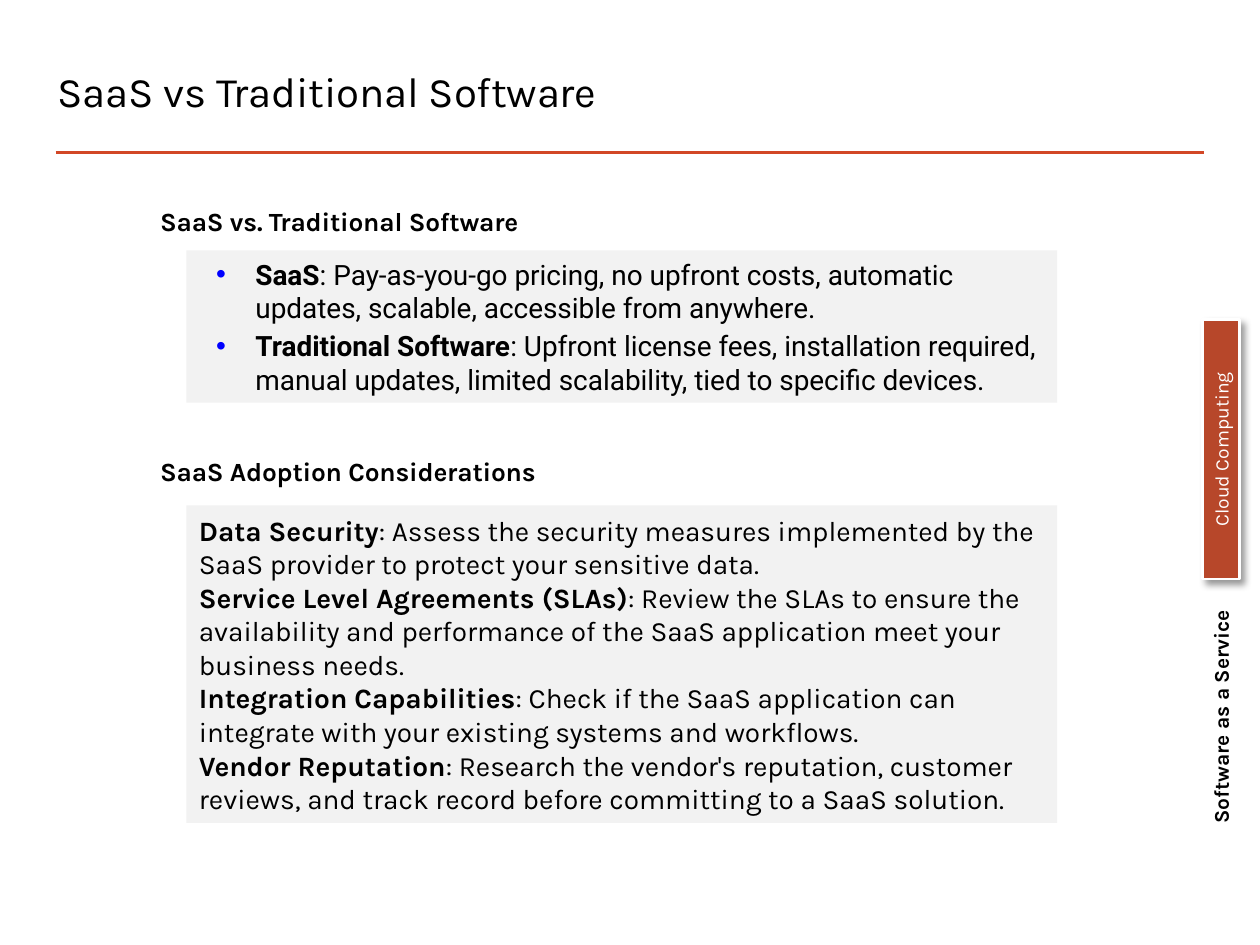
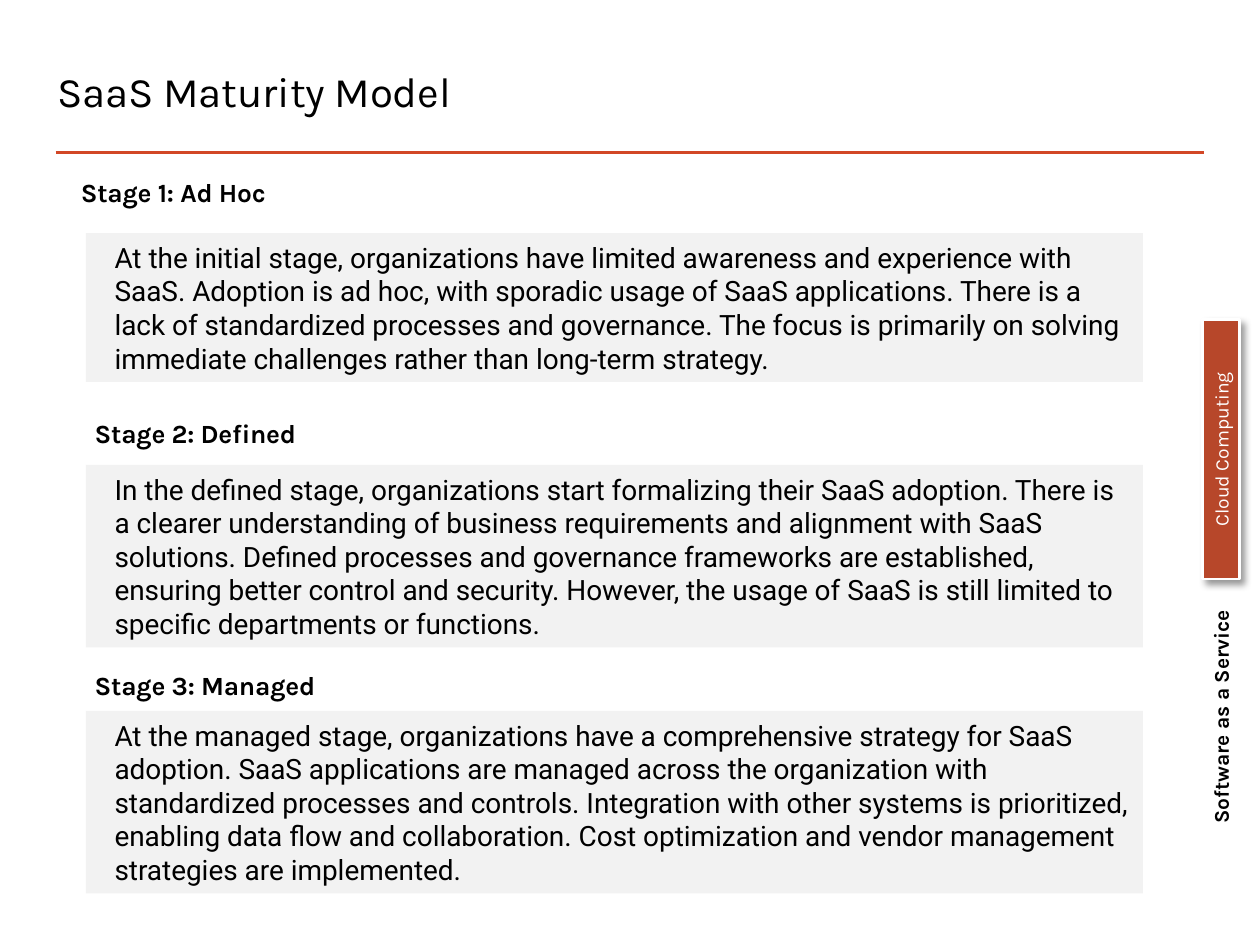
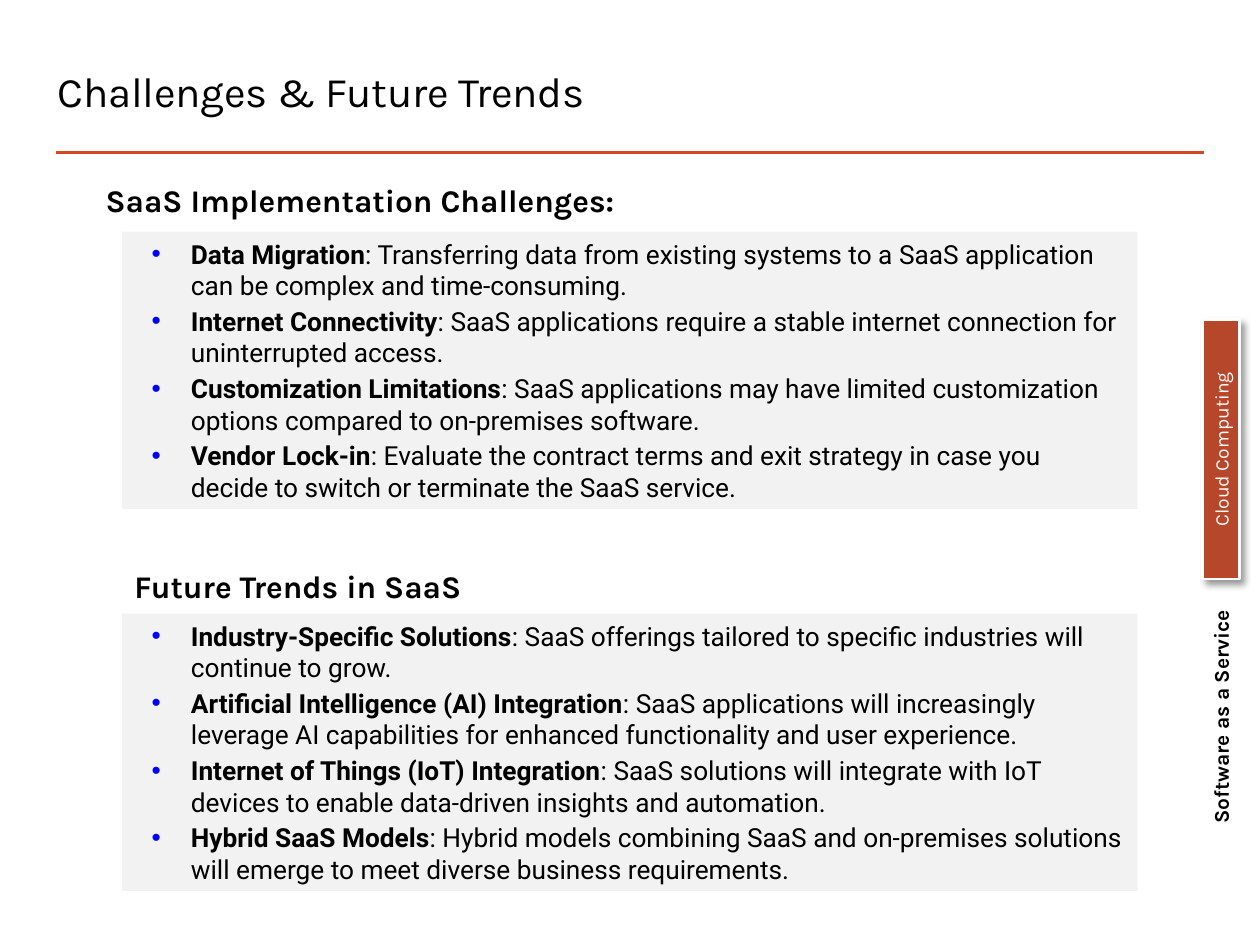
from lxml import etree
from pptx import Presentation
from pptx.dml.color import RGBColor
from pptx.enum import shapes, text
from pptx.oxml import ns
from pptx.util import Cm, Pt

BLACK = RGBColor(0x00, 0x00, 0x00)
WHITE = RGBColor(0xFF, 0xFF, 0xFF)
PANEL = RGBColor(0xF2, 0xF2, 0xF2)
RULE = RGBColor(0xD2, 0x47, 0x26)
TAB = RGBColor(0xB7, 0x47, 0x2A)
BULLET = RGBColor(0x00, 0x00, 0xFF)
KARLA, ROBOTO = "Karla", "Roboto"


def child(parent, tag, **attrs):
    """Append a DrawingML element and return it."""
    return etree.SubElement(parent, ns.qn(tag), attrs)


class Deck:
    """Course deck style together with the slide being built."""

    def __init__(self):
        """Start an empty 4:3 presentation."""
        self.prs = Presentation()
        self.prs.slide_width, self.prs.slide_height = Cm(25.4), Cm(19.05)
        self.s = None

    def slide(self, title, title_width=14.58):
        """Add a slide with its title, rule and side band."""
        self.s = self.prs.slides.add_slide(self.prs.slide_layouts[6])
        self.rule()
        self.text(title, (0.91, 1.19, title_width, 1.78), 24, bold=False, spacing=-10)
        self.side_band()

    def font(self, r, size, name=KARLA, bold=False, color=BLACK):
        """Format one run."""
        r.font.size, r.font.name, r.font.bold = Pt(size), name, bold
        r.font.color.rgb = color

    def rule(self):
        """Draw the line below the title."""
        line = self.s.shapes.add_connector(
            shapes.MSO_CONNECTOR.STRAIGHT, Cm(1.12), Cm(3.07), Cm(24.28), Cm(3.07))
        line.line.color.rgb, line.line.width = RULE, Pt(2)
        child(line._element.spPr, "a:effectLst")

    def text(self, words, at, size, bold=True, spacing=0, parent=None):
        """Add a one-paragraph text box."""
        sp = (parent or self.s).shapes.add_textbox(*map(Cm, at))
        tf = sp.text_frame
        tf.word_wrap = True
        tf.text = words
        r = tf.paragraphs[0].runs[0]
        self.font(r, size, bold=bold)
        if spacing:
            r.font._element.set("spc", str(spacing))
        return sp

    def rect(self, at, fill, parent=None):
        """Add a plain filled rectangle that fits its text."""
        sp = (parent or self.s).shapes.add_shape(shapes.MSO_SHAPE.RECTANGLE, *map(Cm, at))
        sp.shadow.inherit = False
        sp.fill.solid()
        sp.fill.fore_color.rgb = fill
        sp.line.fill.background()
        sp.text_frame.word_wrap = True
        sp.text_frame.auto_size = text.MSO_AUTO_SIZE.SHAPE_TO_FIT_TEXT
        return sp

    def side_band(self):
        """Add the rotated chapter label and course tab."""
        band = self.s.shapes.add_group_shape()
        label = self.text("Software as a Service", (20.4, 12.27, 8.41, 0.76), 12, parent=band)
        tab = self.rect((22, 8.69, 5.23, 0.74), TAB, band)
        label.rotation = tab.rotation = 270
        tab.line.color.rgb, tab.line.width = WHITE, Pt(1.5)
        tab.text_frame.text = "Cloud Computing"
        p = tab.text_frame.paragraphs[0]
        p.alignment = text.PP_ALIGN.CENTER
        self.font(p.runs[0], 11, color=WHITE)
        shadow = child(tab._element.spPr.find(ns.qn("a:effectLst")), "a:outerShdw",
                       blurRad=str(Pt(4)), dist=str(Pt(3)), dir="2700000",
                       algn="tl", rotWithShape="0")
        child(child(shadow, "a:srgbClr", val=str(BLACK)), "a:alpha", val="40000")

    def heading(self, words, left, top):
        """Add a small section heading."""
        sp = self.text(words, (left, top, 10.31, 1.02), 15, spacing=-10)
        tf = sp.text_frame
        tf.margin_left = tf.margin_right = Cm(0.18)
        tf.margin_top = tf.margin_bottom = Cm(0.1)
        p = tf.paragraphs[0]
        p.line_spacing, p.space_before, p.space_after = Pt(18), Pt(10), Pt(15)

    def large_heading(self, words, left, top):
        """Add a large section heading."""
        self.text(words, (left, top, 12.7, 1.02), 18)

    def panel(self, items, at, size=16, name=ROBOTO, bullets=False, margin=0.0, before=2.4):
        """Add a grey panel, with the words before a colon in bold."""
        tf = self.rect(at, PANEL).text_frame
        for i, item in enumerate(items):
            p = tf.paragraphs[0] if i == 0 else tf.add_paragraph()
            p.alignment, p.space_before = text.PP_ALIGN.LEFT, Pt(before)
            lead, colon, rest = item.partition(":")
            parts = [(lead, True), (colon + rest, False)] if colon else [(item, False)]
            for words, bold in parts:
                r = p.add_run()
                r.text = words
                self.font(r, size, name, bold)
            pPr = p._p.get_or_add_pPr()
            pPr.set("marL", str(Cm(1.14 if bullets else margin)))
            pPr.set("indent", str(Cm(-0.79 if bullets else 0)))
            if bullets:
                child(child(pPr, "a:buClr"), "a:srgbClr", val=str(BULLET))
                child(pPr, "a:buFont", typeface="Arial")
                child(pPr, "a:buChar", char="•")


COMPARISON = [
    "SaaS: Pay-as-you-go pricing, no upfront costs, automatic updates, scalable, "
    "accessible from anywhere.",
    "Traditional Software: Upfront license fees, installation required, manual updates, "
    "limited scalability, tied to specific devices.",
]
CONSIDERATIONS = [
    "Data Security: Assess the security measures implemented by the SaaS provider to "
    "protect your sensitive data.",
    "Service Level Agreements (SLAs): Review the SLAs to ensure the availability and "
    "performance of the SaaS application meet your business needs.",
    "Integration Capabilities: Check if the SaaS application can integrate with your "
    "existing systems and workflows.",
    "Vendor Reputation: Research the vendor's reputation, customer reviews, and track "
    "record before committing to a SaaS solution.",
]
STAGES = [
    ("Stage 1: Ad Hoc", 1.45, 3.45, 4.7, 3,
     "At the initial stage, organizations have limited awareness and experience with SaaS. "
     "Adoption is ad hoc, with sporadic usage of SaaS applications. There is a lack of "
     "standardized processes and governance. The focus is primarily on solving immediate "
     "challenges rather than long-term strategy."),
    ("Stage 2: Defined", 1.73, 8.31, 9.37, 3.68,
     "In the defined stage, organizations start formalizing their SaaS adoption. There is a "
     "clearer understanding of business requirements and alignment with SaaS solutions. "
     "Defined processes and governance frameworks are established, ensuring better control "
     "and security. However, the usage of SaaS is still limited to specific departments or "
     "functions."),
    ("Stage 3: Managed", 1.73, 13.39, 14.33, 3.68,
     "At the managed stage, organizations have a comprehensive strategy for SaaS adoption. "
     "SaaS applications are managed across the organization with standardized processes and "
     "controls. Integration with other systems is prioritized, enabling data flow and "
     "collaboration. Cost optimization and vendor management strategies are implemented."),
]
CHALLENGES = [
    "Data Migration: Transferring data from existing systems to a SaaS application can be "
    "complex and time-consuming.",
    "Internet Connectivity: SaaS applications require a stable internet connection for "
    "uninterrupted access.",
    "Customization Limitations: SaaS applications may have limited customization options "
    "compared to on-premises software.",
    "Vendor Lock-in: Evaluate the contract terms and exit strategy in case you decide to "
    "switch or terminate the SaaS service.",
]
TRENDS = [
    "Industry-Specific Solutions: SaaS offerings tailored to specific industries will "
    "continue to grow.",
    "Artificial Intelligence (AI) Integration: SaaS applications will increasingly leverage "
    "AI capabilities for enhanced functionality and user experience.",
    "Internet of Things (IoT) Integration: SaaS solutions will integrate with IoT devices "
    "to enable data-driven insights and automation.",
    "Hybrid SaaS Models: Hybrid models combining SaaS and on-premises solutions will emerge "
    "to meet diverse business requirements.",
]


def main():
    """Build the three slides and save them."""
    deck = Deck()

    deck.slide("SaaS vs Traditional Software")
    deck.heading("SaaS vs. Traditional Software", 3.05, 4.04)
    deck.panel(COMPARISON, (3.76, 5.05, 17.55, 3.07), bullets=True)
    deck.heading("SaaS Adoption Considerations", 3.05, 9.07)
    deck.panel(CONSIDERATIONS, (3.76, 10.19, 17.55, 6.4), name=KARLA, before=0)

    deck.slide("SaaS Maturity Model")
    for name, left, top, panel_top, height, words in STAGES:
        deck.heading(name, left, top)
        deck.panel([words], (1.73, panel_top, 21.31, height), margin=0.33)

    deck.slide("Challenges & Future Trends", 19.13)
    deck.large_heading("SaaS Implementation Challenges:", 1.88, 3.53)
    deck.panel(CHALLENGES, (2.46, 4.67, 20.47, 5.59), 15, bullets=True)
    deck.large_heading("Future Trends in SaaS", 2.46, 11.3)
    deck.panel(TRENDS, (2.46, 12.37, 20.47, 5.59), 15, bullets=True)

    deck.prs.save("out.pptx")


if __name__ == "__main__":
    main()
